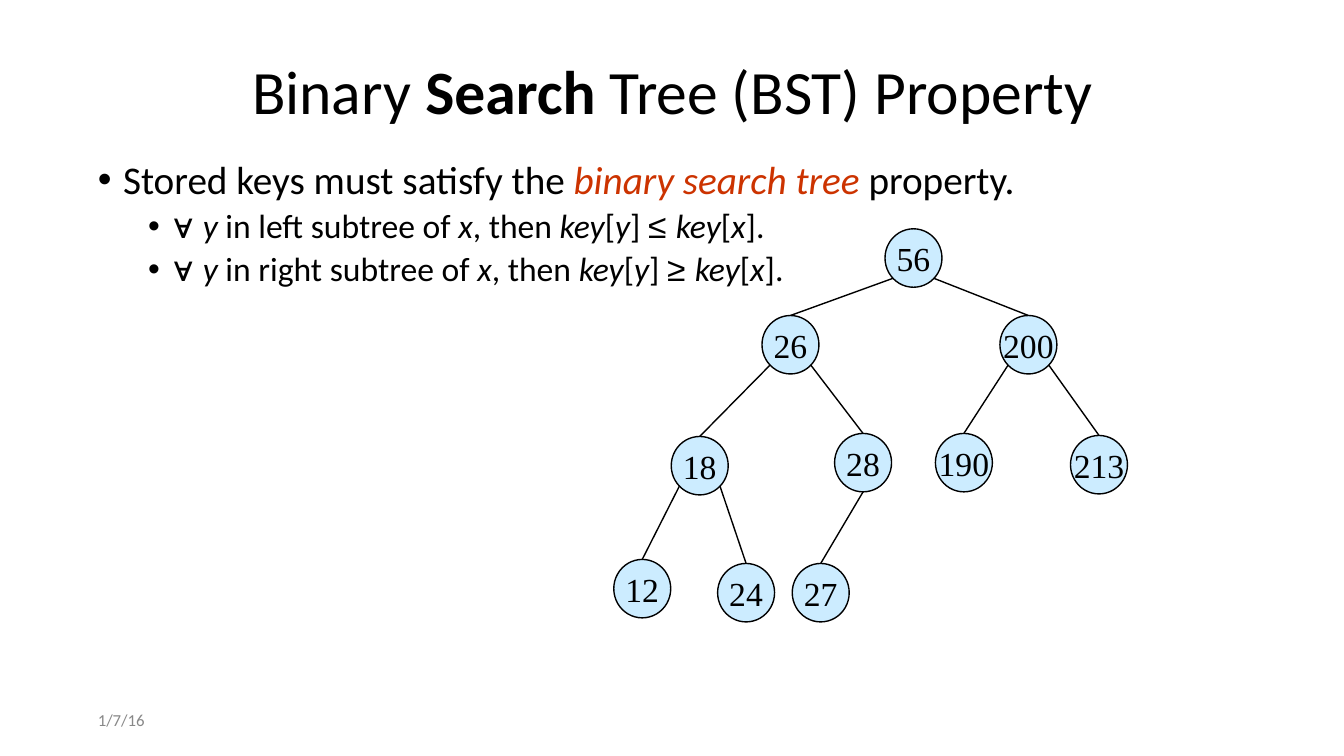
from lxml.etree import SubElement
from pptx import Presentation
from pptx.dml.color import RGBColor
from pptx.enum.shapes import MSO_CONNECTOR as Connector, MSO_SHAPE as Preset
from pptx.enum.text import MSO_ANCHOR as Anchor, MSO_AUTO_SIZE as AutoSize, PP_ALIGN as Align
from pptx.oxml.ns import qn
from pptx.util import Inches, Pt

BLACK = RGBColor(0x00, 0x00, 0x00)
GREY = RGBColor(0x88, 0x88, 0x88)
RED = RGBColor(0xCC, 0x33, 0x00)
PALE_BLUE = RGBColor(0xCC, 0xEC, 0xFF)

WIDTH, HEIGHT = Inches(13.33), Inches(7.5)
COLUMN, ROW = WIDTH / 133.3, HEIGHT / 75

NODE_WIDTH, NODE_HEIGHT = 5.65, 5.8
LEFT, DOWN, RIGHT = (-2, 2), (0, NODE_HEIGHT / 2), (2, 2)

NODES = {
    "56": (90.6, 25.6),
    "26": (78.4, 34.2),
    "200": (102, 34.2),
    "18": (69.4, 46.2),
    "28": (85.6, 45.9),
    "190": (95.6, 45.9),
    "213": (109, 46.1),
    "12": (63.7, 58.4),
    "24": (74, 58.8),
    "27": (81.4, 58.8),
}
EDGES = [
    ("56", LEFT, "26"), ("56", RIGHT, "200"),
    ("26", LEFT, "18"), ("26", RIGHT, "28"),
    ("200", LEFT, "190"), ("200", RIGHT, "213"),
    ("18", LEFT, "12"), ("18", RIGHT, "24"),
    ("28", DOWN, "27"),
]


def add_text(paragraph, text, size=24, font="Calibri", color=BLACK, bold=False, italic=False):
    run = paragraph.add_run()
    run.text = text
    run.font.size = Pt(size)
    run.font.name = font
    run.font.color.rgb = color
    run.font.bold = bold
    run.font.italic = italic


def add_bullet(paragraph, indent):
    properties = paragraph._p.get_or_add_pPr()
    properties.set("marL", str(Inches(indent)))
    properties.set("indent", str(Inches(-0.25)))
    SubElement(properties, qn("a:buFont"), typeface="Arial")
    SubElement(properties, qn("a:buChar"), char="•")


def add_rule(paragraph, side, relation):
    add_text(paragraph, "∀ ", font="Arial")
    add_text(paragraph, "y", italic=True)
    add_text(paragraph, f" in {side} subtree of ")
    add_text(paragraph, "x", italic=True)
    add_text(paragraph, ", then ")
    add_text(paragraph, "key", italic=True)
    add_text(paragraph, "[")
    add_text(paragraph, "y", italic=True)
    add_text(paragraph, "] ")
    add_text(paragraph, f"{relation} ", font="Arial")
    add_text(paragraph, "key", italic=True)
    add_text(paragraph, "[")
    add_text(paragraph, "x", italic=True)
    add_text(paragraph, "].")


class TreeSlide:
    def __init__(self, slide):
        self.slide = slide
        self.fill = PALE_BLUE
        self.line = BLACK
        self.line_width = Pt(1)
        self.inset = Inches(0.05)

    def place(self, column, row, columns, rows):
        return [round(column * COLUMN), round(row * ROW),
                round(columns * COLUMN), round(rows * ROW)]

    def frame(self, shape, anchor=Anchor.MIDDLE, wrap=True):
        frame = shape.text_frame
        frame.auto_size = AutoSize.NONE
        frame.word_wrap = wrap
        frame.vertical_anchor = anchor
        frame.margin_left = frame.margin_right = self.inset
        frame.margin_top = frame.margin_bottom = self.inset
        return frame

    def title(self, *area):
        shape = self.slide.shapes.title
        shape.left, shape.top, shape.width, shape.height = self.place(*area)
        paragraph = self.frame(shape).paragraphs[0]
        paragraph.alignment = Align.CENTER
        paragraph.line_spacing = 0.9
        return paragraph

    def text_box(self, *area, anchor=Anchor.MIDDLE):
        return self.frame(self.slide.shapes.add_textbox(*self.place(*area)), anchor)

    def node(self, key, column, row):
        area = self.place(column - NODE_WIDTH / 2, row - NODE_HEIGHT / 2, NODE_WIDTH, NODE_HEIGHT)
        shape = self.slide.shapes.add_shape(Preset.OVAL, *area)
        shape.shadow.inherit = False
        shape.fill.solid()
        shape.fill.fore_color.rgb = self.fill
        shape.line.color.rgb = self.line
        shape.line.width = self.line_width
        paragraph = self.frame(shape, wrap=False).paragraphs[0]
        paragraph.alignment = Align.CENTER
        add_text(paragraph, key, font="Times New Roman")
        return shape

    def edge(self, column, row, child):
        begin = round(column * COLUMN), round(row * ROW)
        connector = self.slide.shapes.add_connector(Connector.STRAIGHT, *begin, *begin)
        connector.end_connect(child, 0)
        connector.line.color.rgb = self.line
        connector.line.width = self.line_width
        SubElement(connector._element.spPr, qn("a:effectLst"))


def main():
    presentation = Presentation()
    presentation.slide_width, presentation.slide_height = WIDTH, HEIGHT
    page = TreeSlide(presentation.slides.add_slide(presentation.slide_layouts[5]))

    title = page.title(9.2, 4, 115, 10.7)
    add_text(title, "Binary ", size=44)
    add_text(title, "Search", size=44, bold=True)
    add_text(title, " Tree (BST) Property", size=44)

    body = page.text_box(9.2, 15.4, 106.9, 22, anchor=Anchor.TOP)
    property_line = body.paragraphs[0]
    property_line.line_spacing = 0.9
    add_bullet(property_line, 0.25)
    add_text(property_line, "Stored keys must satisfy the ", size=28)
    add_text(property_line, "binary search tree", size=28, color=RED, italic=True)
    add_text(property_line, " property.", size=28)
    for side, relation in (("left", "≤"), ("right", "≥")):
        paragraph = body.add_paragraph()
        paragraph.level = 1
        paragraph.line_spacing = 0.9
        paragraph.space_before = Pt(5)
        add_bullet(paragraph, 0.75)
        add_rule(paragraph, side, relation)

    shapes = {key: page.node(key, *center) for key, center in NODES.items()}
    for parent, (across, down), child in EDGES:
        column, row = NODES[parent]
        page.edge(column + across, row + down, shapes[child])

    date = page.text_box(9.2, 70, 30, 2.9)
    add_text(date.paragraphs[0], "1/7/16", size=12, color=GREY)

    presentation.save("out.pptx")


if __name__ == "__main__":
    main()
